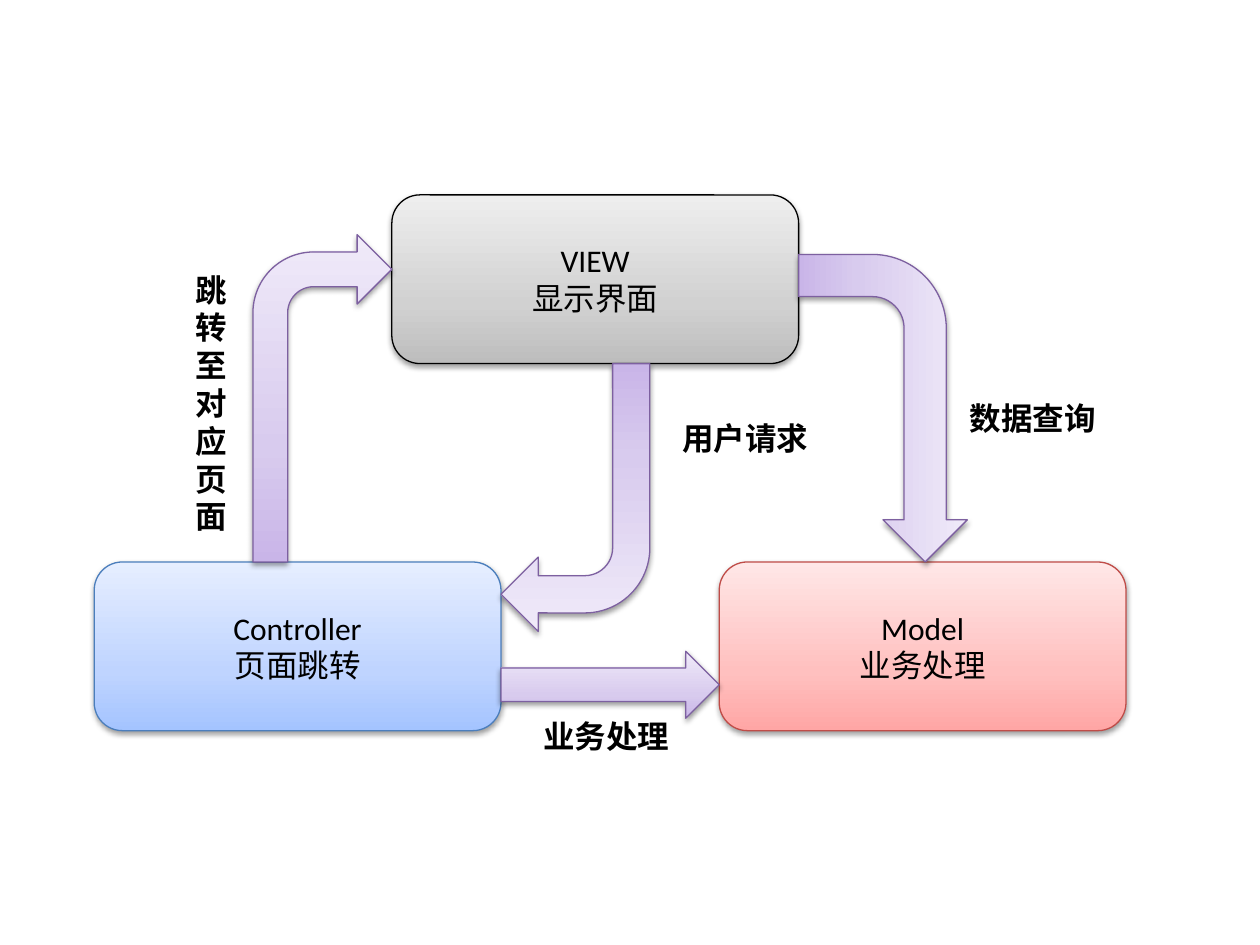
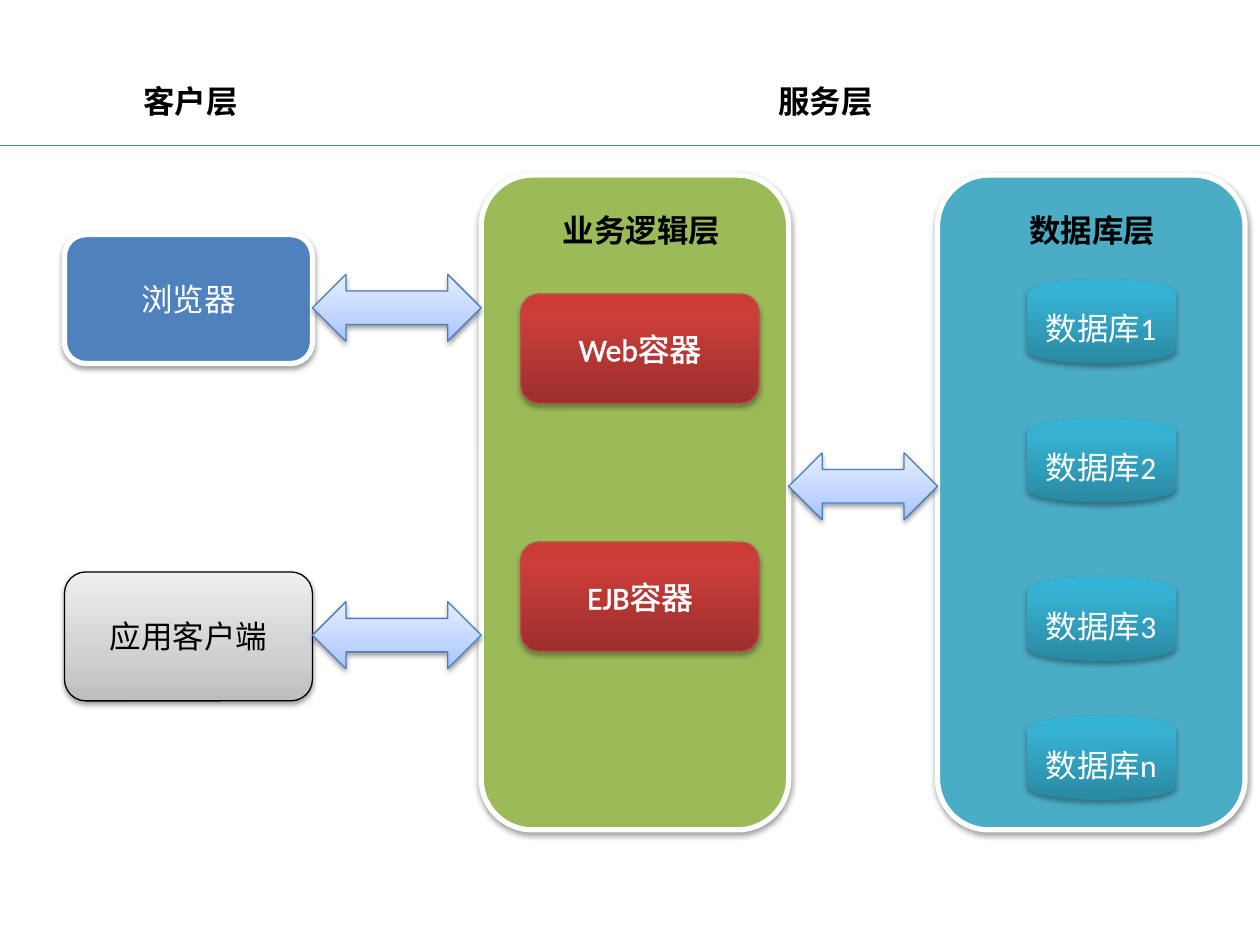
from lxml import etree
from pptx import Presentation
from pptx.dml.color import RGBColor
from pptx.enum.shapes import MSO_CONNECTOR, MSO_SHAPE
from pptx.enum.text import MSO_ANCHOR, MSO_AUTO_SIZE, PP_ALIGN
from pptx.oxml.ns import qn
from pptx.util import Cm, Pt

ROUND = MSO_SHAPE.ROUNDED_RECTANGLE
BENT = MSO_SHAPE.BENT_ARROW
RIGHT = MSO_SHAPE.RIGHT_ARROW
BOTH = MSO_SHAPE.LEFT_RIGHT_ARROW
PROC = MSO_SHAPE.FLOWCHART_ALTERNATE_PROCESS
DISK = MSO_SHAPE.FLOWCHART_MAGNETIC_DISK
LINE = MSO_CONNECTOR.STRAIGHT
MIDDLE = MSO_ANCHOR.MIDDLE
CENTER = PP_ALIGN.CENTER
LEFT = PP_ALIGN.LEFT
GROW = MSO_AUTO_SIZE.SHAPE_TO_FIT_TEXT

FONT = "Calibri"
SIZE = 18
WIDE, HIGH = 25.4, 19.05
COLORS = {
    "black": "000000", "white": "FFFFFF",
    "blue": "4F81BD", "green": "9BBB59", "aqua": "4BACC6",
    "navy": "4B7EBC", "brick": "BF4C48", "plum": "7D60A0",
}
SOFT, DEEP = (0, 35, 100), (0, 80, 100)
FADES = {
    "gray": (SOFT, ("BDBDBD", "D1D1D1", "EEEEEE")),
    "sky": (SOFT, ("A4C4FF", "BFD4FF", "E6EEFF")),
    "rose": (SOFT, ("FFA6A5", "FFC0BF", "FFE7E7")),
    "lilac": (SOFT, ("C9B5E8", "D8CBEE", "F0EAF9")),
    "red": (DEEP, ("9C2F2D", "CB3E3A", "CE3B37")),
    "teal": (DEEP, ("2A88A2", "37B1D2", "34B4D6")),
}
STYLES = {
    "gray": ("gray", "black", 0.75, "black"),
    "sky": ("sky", "navy", 0.75, "black"),
    "rose": ("rose", "brick", 0.75, "black"),
    "lilac": ("lilac", "plum", 0.75, "black"),
    "red": ("red", "brick", 0.75, "white"),
    "teal": ("teal", None, 0, "white"),
    "blue": ("blue", "white", 3, "white"),
    "green": ("green", "white", 3, "black"),
    "aqua": ("aqua", "white", 3, "black"),
}

ROLES = [
    ("VIEW\n显示界面", "gray", 7.9, 3.93),
    ("Controller\n页面跳转", "sky", 1.9, 11.33),
    ("Model\n业务处理", "rose", 14.5, 11.33),
]
FLOWS = [
    (BENT, 5.1, 4.73, 2.8, 6.6, 0),
    (BENT, 14.7, 6.53, 6.2, 3.4, 90),
    (BENT, 10.1, 7.33, 3, 5.4, 180),
    (RIGHT, 10.1, 13.13, 4.4, 1.35, 0),
]
NOTES = [
    ("数据查询", 19.3, 7.92),
    ("用户请求", 13.5, 8.33),
    ("业务处理", 10.7, 14.33),
]
JUMP = "跳转至对应页面"

PANELS = [("green", 9.7), ("aqua", 18.9)]
HEADS = [
    ("客户层", 2.64, 1.52),
    ("服务层", 15.44, 1.52),
    ("业务逻辑层", 11.1, 4.13),
    ("数据库层", 20.5, 4.13),
]
CLIENTS = [("浏览器", "blue", 4.73), ("应用客户端", "gray", 11.53)]
LINKS = [(6.3, 5.53, 3.4), (6.3, 12.13, 3.4), (15.9, 9.13, 3)]
HOSTS = [("Web容器", 5.93), ("EJB容器", 10.93)]
STORES = [("数据库1", 5.63), ("数据库2", 8.43),
          ("数据库3", 11.63), ("数据库n", 14.43)]


def rgb(name):
    return RGBColor.from_string(COLORS[name])


def node(parent, tag, **attrs):
    item = etree.SubElement(parent, qn(tag))
    for key, value in attrs.items():
        item.set(key, str(value))
    return item


def paint(shape, name):
    if name in COLORS:
        shape.fill.solid()
        shape.fill.fore_color.rgb = rgb(name)
        return
    shape.fill.gradient()
    shape.fill.gradient_angle = 90
    stops = shape._element.spPr.find(".//" + qn("a:gsLst"))
    for old in list(stops):
        stops.remove(old)
    for place, tone in zip(*FADES[name]):
        stop = node(stops, "a:gs", pos=place * 1000)
        node(stop, "a:srgbClr", val=tone)


def shade(shape, alpha, dist):
    shape.shadow.inherit = False
    group = shape._element.spPr.find(qn("a:effectLst"))
    cast = node(group, "a:outerShdw", blurRad=Pt(3.15), dist=Pt(dist),
                dir=5400000, rotWithShape=0)
    tint = node(cast, "a:srgbClr", val=COLORS["black"])
    node(tint, "a:alpha", val=alpha * 1000)


def write(shape, text, color, bold=False, align=CENTER, edge=False):
    frame = shape.text_frame
    for i, line in enumerate(text.split("\n")):
        para = frame.add_paragraph() if i else frame.paragraphs[0]
        para.alignment = align
        run = para.add_run()
        run.text = line
        font = run.font
        font.name, font.size = FONT, Pt(SIZE)
        font.color.rgb = rgb(color)
        if bold:
            font.bold = True
        if edge:
            rim = etree.Element(qn("a:ln"), w=str(Pt(1.45)))
            fill = node(rim, "a:solidFill")
            node(fill, "a:srgbClr", val=COLORS[color])
            run._r.get_or_add_rPr().insert(0, rim)


def block(slide, kind, style, x, y, w, h, text="", turn=0):
    fill, edge, width, ink = STYLES[style]
    shape = slide.shapes.add_shape(kind, Cm(x), Cm(y), Cm(w), Cm(h))
    shape.rotation = turn
    paint(shape, fill)
    if edge:
        shape.line.color.rgb = rgb(edge)
        shape.line.width = Pt(width)
    else:
        shape.line.fill.background()
    strong = style in ("red", "teal")
    shade(shape, 35 if strong else 38, 1.8 if strong else 1.6)
    shape.text_frame.vertical_anchor = MIDDLE
    if text:
        write(shape, text, ink, edge=style == "red")


def label(slide, text, x, y, w=None, h=1.02):
    span = w or len(text) * 0.64 + 0.51
    box = slide.shapes.add_textbox(Cm(x), Cm(y), Cm(span), Cm(h))
    box.text_frame.word_wrap = w is not None
    box.text_frame.auto_size = GROW
    write(box, text, "black", bold=True, align=LEFT)


def draw_mvc(slide):
    for text, style, x, y in ROLES:
        block(slide, ROUND, style, x, y, 8.2, 3.4, text)
    for kind, x, y, w, h, turn in FLOWS:
        block(slide, kind, "lilac", x, y, w, h, turn=turn)
    label(slide, "\n".join(JUMP), 3.7, 5.33, 1.4, 5.64)
    for note in NOTES:
        label(slide, *note)


def draw_tiers(slide):
    for style, x in PANELS:
        block(slide, ROUND, style, x, 3.53, 6.2, 13.2)
    for text, style, y in CLIENTS:
        block(slide, ROUND, style, 1.3, y, 5, 2.6, text)
    for x, y, w in LINKS:
        block(slide, BOTH, "sky", x, y, w, 1.35)
    for text, y in HOSTS:
        block(slide, PROC, "red", 10.5, y, 4.8, 2.2, text)
    for text, y in STORES:
        block(slide, DISK, "teal", 20.7, y, 3, 1.7, text)
    for head in HEADS:
        label(slide, *head)
    rule = slide.shapes.add_connector(LINE, 0, Cm(2.93), Cm(WIDE), Cm(2.93))
    rule.line.color.rgb = rgb("navy")
    rule.line.width = Pt(0.75)
    node(rule._element.spPr, "a:effectLst")


def main():
    deck = Presentation()
    deck.slide_width, deck.slide_height = Cm(WIDE), Cm(HIGH)
    for draw in (draw_mvc, draw_tiers):
        draw(deck.slides.add_slide(deck.slide_layouts[6]))
    deck.save("out.pptx")


if __name__ == "__main__":
    main()
